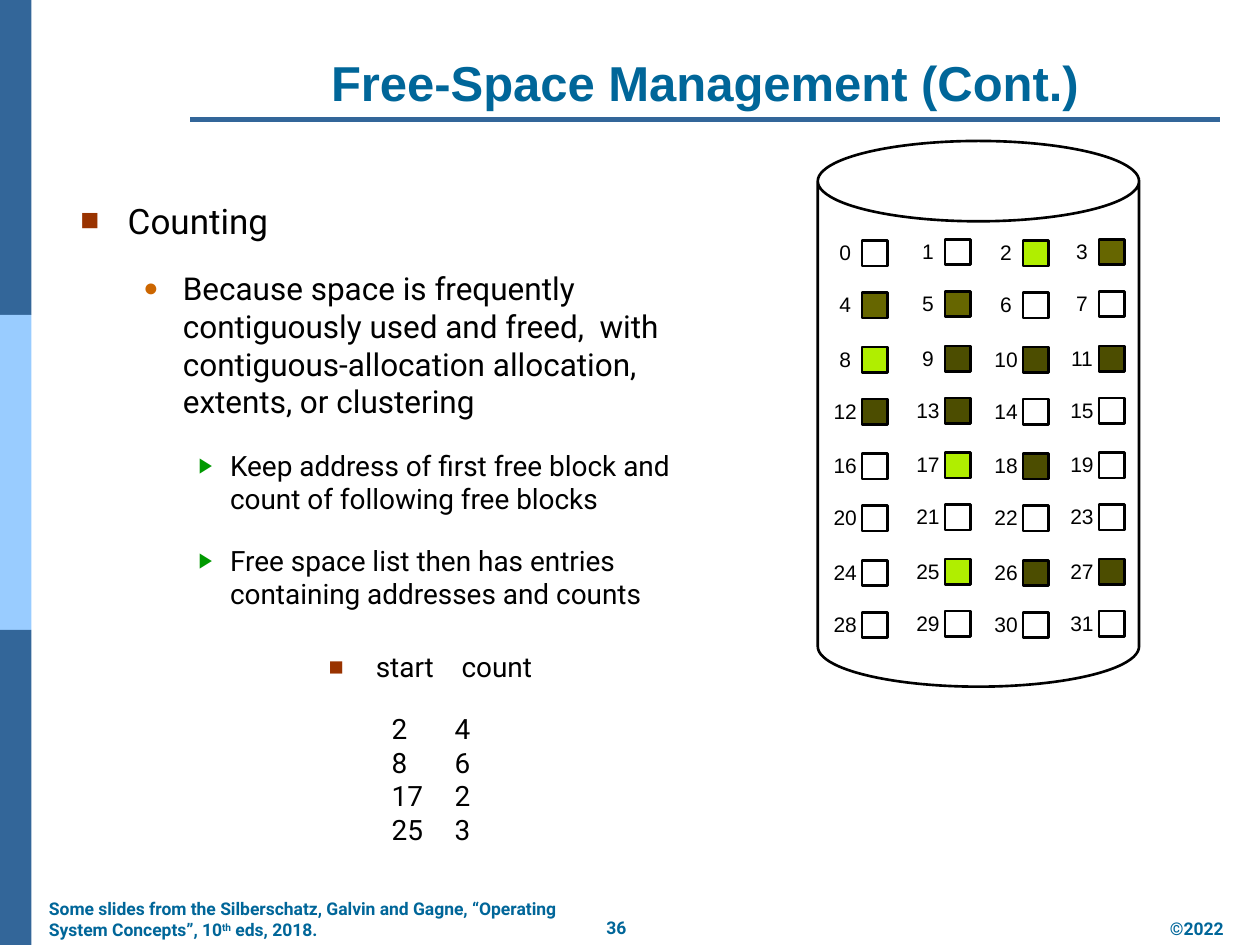
import pptx
import pptx.util
import pptx.dml.color
import pptx.enum.shapes
import pptx.enum.text
import pptx.oxml.ns
import lxml.etree
from dataclasses import dataclass

Pt = pptx.util.Pt
Shapes = pptx.enum.shapes.MSO_SHAPE
Align = pptx.enum.text.PP_ALIGN
Anchor = pptx.enum.text.MSO_ANCHOR


@dataclass(frozen=True)
class Theme:
    heading: str = "006699"
    bar: str = "336699"
    bar_light: str = "99CCFF"
    ink: str = "000000"
    start: str = "B0EE00"
    run_first: str = "666600"
    run_other: str = "4C4D00"
    square_bullet: tuple = ("■", "993300", 90)
    round_bullet: tuple = ("●", "CC6600", 80)
    arrow_bullet: tuple = ("▶", "009900", 75)
    body_font: str = "Roboto"
    plain_font: str = "Arial"
    title_size: int = 28
    level_sizes: tuple = (20, 18, 16)
    label_size: int = 12
    footer_size: int = 10


class SlideWriter:
    def __init__(self, page, theme):
        self.page = page
        self.theme = theme

    def color(self, value):
        return pptx.dml.color.RGBColor.from_string(value)

    def shape(self, kind, left, top, width, height, fill=None, line=None):
        shape = self.page.shapes.add_shape(kind, Pt(left), Pt(top), Pt(width), Pt(height))
        shape.shadow.inherit = False
        if fill:
            shape.fill.solid()
            shape.fill.fore_color.rgb = self.color(fill)
        else:
            shape.fill.background()
        if line:
            shape.line.color.rgb = self.color(line)
            shape.line.width = Pt(1.5)
        else:
            shape.line.fill.background()
        return shape

    def rule(self, left, right, y, weight):
        line = self.page.shapes.add_connector(
            pptx.enum.shapes.MSO_CONNECTOR.STRAIGHT, Pt(left), Pt(y), Pt(right), Pt(y))
        line.line.color.rgb = self.color(self.theme.bar)
        line.line.width = Pt(weight)
        effects = pptx.oxml.ns.qn("a:effectLst")
        lxml.etree.SubElement(line._element.spPr, effects)

    def box(self, left, top, width, height, wrap=True, anchor=Anchor.TOP):
        box = self.page.shapes.add_textbox(Pt(left), Pt(top), Pt(width), Pt(height))
        box.text_frame.word_wrap = wrap
        box.text_frame.vertical_anchor = anchor
        return box.text_frame

    def para(self, frame, align=Align.LEFT, first=False, space=0):
        para = frame.paragraphs[0] if first else frame.add_paragraph()
        para.alignment = align
        para.space_before = Pt(0 if first else space)
        para.space_after = Pt(space)
        return para

    def layout(self, para, margin=0, hang=0, bullet=None, tabs=()):
        props = para._p.get_or_add_pPr()
        props.set("marL", str(Pt(margin)))
        props.set("indent", str(Pt(-hang)))

        def add(parent, tag, **values):
            return lxml.etree.SubElement(parent, pptx.oxml.ns.qn(tag), **values)

        if bullet:
            mark, color, percent = bullet
            add(add(props, "a:buClr"), "a:srgbClr", val=color)
            add(props, "a:buSzPct", val=str(percent * 1000))
            add(props, "a:buFont", typeface=self.theme.plain_font)
            add(props, "a:buChar", char=mark)
        if tabs:
            stops = add(props, "a:tabLst")
            for position, side in tabs:
                add(stops, "a:tab", pos=str(Pt(position)), algn=side)

    def span(self, para, text, size, font, color, bold=False, baseline=None):
        span = para.add_run()
        span.text = text
        span.font.size = Pt(size)
        span.font.name = font
        span.font.bold = bold
        span.font.color.rgb = self.color(color)
        if baseline:
            span.font._element.set("baseline", str(baseline * 1000))

    def footer(self, left, top, width, height, parts, align=Align.LEFT, wrap=True):
        para = self.para(self.box(left, top, width, height, wrap), align, first=True)
        for text, baseline in parts:
            self.span(para, text, self.theme.footer_size, self.theme.body_font,
                      self.theme.heading, True, baseline)

    def block(self, number, left, top, fill):
        side, label_width = 14.5, 28
        self.shape(Shapes.RECTANGLE, left, top, side, side, fill, self.theme.ink)
        frame = self.box(left - 9.7 - label_width / 2, top - 4, label_width, 21.8, wrap=False)
        self.span(self.para(frame, Align.CENTER, first=True), str(number),
                  self.theme.label_size, self.theme.plain_font, self.theme.ink)


def main():
    theme = Theme()
    deck = pptx.Presentation()
    deck.slide_width, deck.slide_height = Pt(720), Pt(540)
    writer = SlideWriter(deck.slides.add_slide(deck.slide_layouts[6]), theme)

    # Side bars and title rules
    for index, color in enumerate((theme.bar, theme.bar_light, theme.bar)):
        writer.shape(Shapes.RECTANGLE, 0, index * 180, 18, 180, color)
    writer.rule(108.7, 697, 68.4, 3)
    writer.rule(128.2, 697, 68.4, 1.5)

    # Footer
    writer.footer(339, 520.5, 26.6, 19.4, [("36", None)], Align.CENTER, wrap=False)
    writer.footer(20.9, 509.8, 315.4, 31.7, [
        ("Some slides from the Silberschatz, Galvin and Gagne, “Operating System Concepts”, 10", None),
        ("th", 30), (" eds, 2018.", None)])
    writer.footer(510.5, 521.3, 195.8, 19.4, [("©2022", None)], Align.RIGHT)

    # Title
    frame = writer.box(108.7, 21.6, 588.2, 45.4, anchor=Anchor.BOTTOM)
    writer.span(writer.para(frame, Align.CENTER, first=True), "Free-Space Management (Cont.)",
                theme.title_size, theme.plain_font, theme.heading, True)

    # Outline
    levels = [(27, 27, theme.square_bullet), (58.5, 22.5, theme.round_bullet),
              (85.5, 18, theme.arrow_bullet)]
    outline = [
        (0, "Counting"),
        (1, "Because space is frequently contiguously used and freed,  with "
            "contiguous-allocation allocation, extents, or clustering"),
        (2, "Keep address of first free block and count of following free blocks"),
        (2, "Free space list then has entries containing addresses and counts"),
    ]
    frame = writer.box(38.9, 110.2, 367.9, 395.3)
    for index, (level, text) in enumerate(outline):
        para = writer.para(frame, first=index == 0, space=8)
        writer.layout(para, *levels[level])
        writer.span(para, text, theme.level_sizes[level], theme.body_font, theme.ink)

    # Free list: start and count of each run
    free_runs = {2: 4, 8: 6, 17: 2, 25: 3}
    style = (theme.level_sizes[2], theme.body_font, theme.ink)
    frame = writer.box(180.7, 367.9, 266.4, 167.8)
    para = writer.para(frame, first=True, space=8)
    writer.layout(para, bullet=theme.square_bullet, tabs=[(27, "l"), (76, "l")])
    writer.span(para, "\tstart\tcount", *style)
    para = writer.para(frame, space=8)
    writer.layout(para, tabs=[(67.5, "r"), (112.5, "r")])
    for index, (start, count) in enumerate(free_runs.items()):
        if index:
            para.add_line_break()
        writer.span(para, f"\t{start}\t{count}", *style)

    # Disk with its numbered blocks
    disk = writer.shape(Shapes.CAN, 467.3, 80.6, 183.6, 311.8, line=theme.ink)
    disk.adjustments[0] = 0.25
    fills = {}
    for start, count in free_runs.items():
        rest = theme.run_first if start == 2 else theme.run_other
        fills.update({number: rest for number in range(start, start + count)})
        fills[start] = theme.start
    columns = (492.7, 540, 584.6, 628)
    for number in range(32):
        row, column = divmod(number, len(columns))
        top = 137.5 + row // 2 * 60.9 + row % 2 * 29.7 - column % 2 * 0.7
        writer.block(number, columns[column], top, fills.get(number))

    deck.save("out.pptx")


if __name__ == "__main__":
    main()
